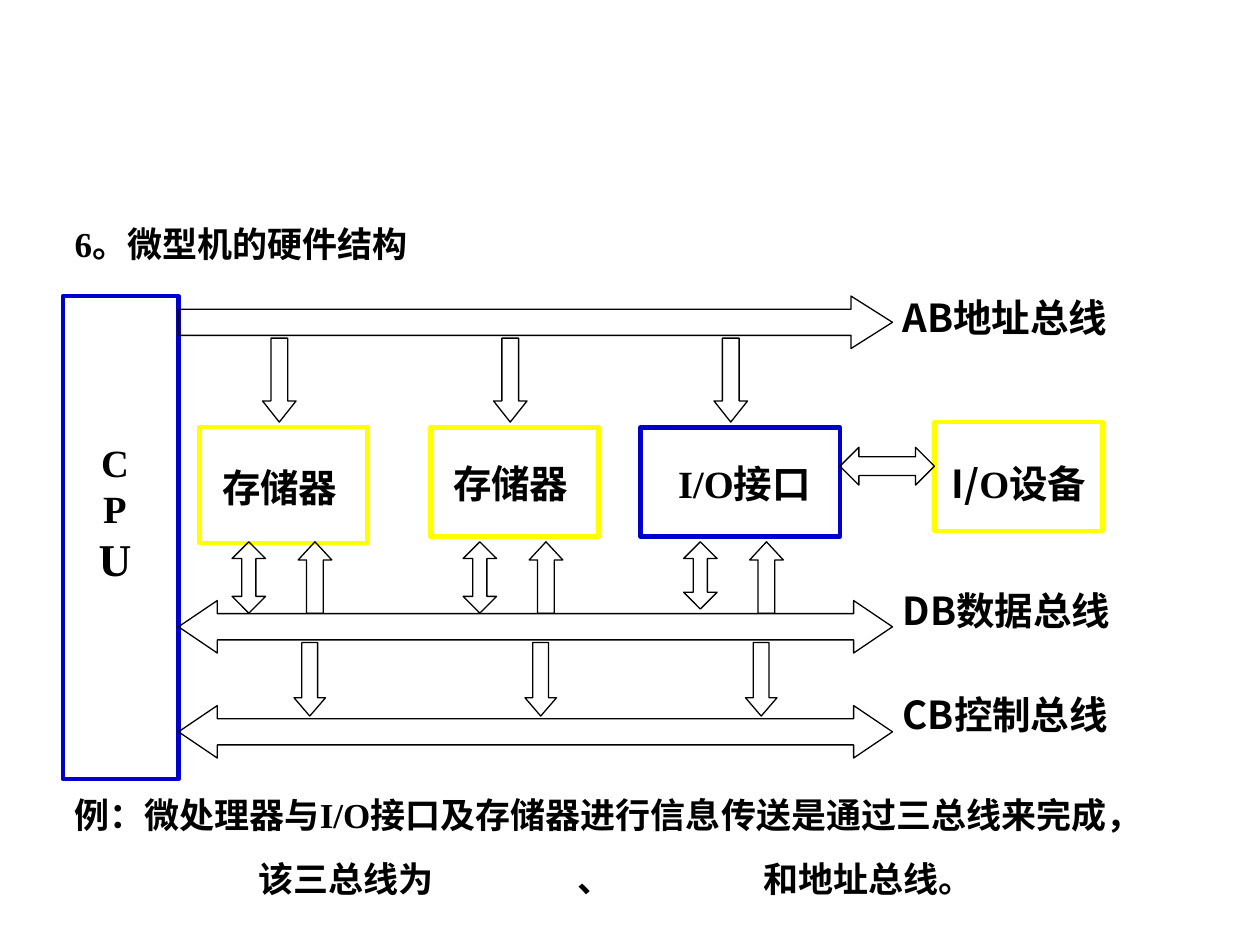
from lxml.etree import SubElement
from pptx import Presentation
from pptx.dml.color import RGBColor
from pptx.enum.shapes import MSO_SHAPE
from pptx.enum.text import MSO_ANCHOR, MSO_AUTO_SIZE, PP_ALIGN
from pptx.oxml.ns import qn
from pptx.util import Inches, Pt

BLACK = RGBColor(0x00, 0x00, 0x00)
BLUE = RGBColor(0x00, 0x00, 0xCC)
YELLOW = RGBColor(0xFF, 0xFF, 0x00)
SANS = "Noto Sans CJK SC"
SERIF = "Times New Roman"
CELLS_PER_INCH = 12
COLUMNS = (25, 47, 68)


def cells(*values):
    """Turn grid cells into lengths."""
    return [Inches(v / CELLS_PER_INCH) for v in values]


def add_run(p, text, size, font=SANS, **extra):
    """Add a bold black run with its Latin and East Asian fonts."""
    r = p.add_run()
    r.text = text
    formats = {"name": font, "size": Pt(size), "bold": True, **extra}
    for name, value in formats.items():
        setattr(r.font, name, value)
    r.font.color.rgb = BLACK
    SubElement(r.font._element, qn("a:ea"), typeface=SANS)


def set_frame(tf, wrap):
    """Set the common text frame format."""
    formats = {"word_wrap": wrap, "auto_size": MSO_AUTO_SIZE.NONE,
               "vertical_anchor": MSO_ANCHOR.TOP, "margin_left": Inches(0.1),
               "margin_right": 0, "margin_top": Inches(0.05),
               "margin_bottom": Inches(0.05)}
    if not wrap:
        formats["margin_right"] = Inches(0.1)
    for name, value in formats.items():
        setattr(tf, name, value)


def add_text(s, at, paragraphs, align=PP_ALIGN.CENTER, wrap=False):
    """Add a text box whose paragraphs are lists of runs."""
    tf = s.shapes.add_textbox(*cells(*at)).text_frame
    set_frame(tf, wrap)
    for i, runs in enumerate(paragraphs):
        p = tf.add_paragraph() if i else tf.paragraphs[0]
        p.alignment = align
        for text, size, font in runs:
            add_run(p, text, size, font)
    return tf


def add_outline(s, kind, at, color=BLACK, width=0.75):
    """Add an unfilled preset shape."""
    sp = s.shapes.add_shape(kind, *cells(*at))
    sp.shadow.inherit = False
    sp.fill.background()
    sp.line.color.rgb = color
    sp.line.width = Pt(width)
    return sp


def add_arrow(s, kind, at, head):
    """Add a block arrow with the given head length ratio."""
    sp = add_outline(s, kind, at)
    sp.adjustments[0] = 0.5
    sp.adjustments[1] = head


def add_title(s):
    """Place the heading in the title placeholder."""
    sp = s.shapes.title
    sp.left, sp.top, sp.width, sp.height = cells(5.9, 20.6, 34.9, 5.3)
    set_frame(sp.text_frame, True)
    p = sp.text_frame.paragraphs[0]
    p.alignment = PP_ALIGN.LEFT
    add_run(p, "6。微型机的硬件结构", 20, SERIF)


def add_blocks(s):
    """Draw the processor, memory and I/O blocks with their names."""
    blocks = [
        ((6, 28.2, 11, 46), BLUE, (7.7, 41.2, 6.5, 15.2),
         [[("C", 22, SERIF)], [("P", 22, SERIF)], [("U", 26, SERIF)]]),
        ((19, 40.7, 16, 11), YELLOW, (20, 43.6, 13.3, 5.6),
         [[("存储器", 22, SANS)]]),
        ((41, 40.7, 16, 10.4), YELLOW, (42, 43.2, 13.3, 5.6),
         [[("存储器", 22, SANS)]]),
        ((61, 40.7, 19, 10.4), BLUE, (63, 43.2, 15.8, 5.6),
         [[("I/O接口", 22, SERIF)]]),
        ((89, 40.2, 16, 10.4), YELLOW, (88.9, 43.2, 16.3, 5.6),
         [[("I/", 22, SANS), ("O", 22, SERIF), ("设备", 22, SANS)]]),
    ]
    for at, color, text_at, paragraphs in blocks:
        add_outline(s, MSO_SHAPE.RECTANGLE, at, color, 2.5)
        add_text(s, text_at, paragraphs)


def add_buses(s):
    """Draw the three buses and their labels."""
    both = MSO_SHAPE.LEFT_RIGHT_ARROW
    buses = [("AB地址总线", MSO_SHAPE.RIGHT_ARROW, 28.2, 0.79, 27.4),
             ("DB数据总线", both, 57.2, 0.74, 55.3),
             ("CB控制总线", both, 67.2, 0.74, 65.2)]
    for label, kind, row, head, label_row in buses:
        add_arrow(s, kind, (17, row, 68, 5), head)
        add_text(s, (84.8, label_row, 23.8, 5.6), [[(label, 22, SANS)]],
                 PP_ALIGN.LEFT, True)


def add_links(s):
    """Draw the arrows between the blocks and the buses."""
    for col in COLUMNS:
        height = 6.4 if col == COLUMNS[-1] else 6.8
        add_arrow(s, MSO_SHAPE.DOWN_ARROW, (col, 32.2, 3.2, 8), 0.63)
        add_arrow(s, MSO_SHAPE.UP_DOWN_ARROW,
                  (col - 2.9, 51.6, 3.2, height), 0.42)
        add_arrow(s, MSO_SHAPE.UP_ARROW, (col + 3.4, 51.6, 3.2, 6.8), 0.54)
        add_arrow(s, MSO_SHAPE.DOWN_ARROW, (col + 3, 61.2, 3, 7), 0.58)
    add_arrow(s, MSO_SHAPE.LEFT_RIGHT_ARROW, (80, 42.6, 9, 3.6), 0.5)


def add_exercise(s):
    """Write the exercise with underlined tabs as blanks."""
    first = "例：微处理器与I/O接口及存储器进行信息传送是通过三总线来完成，"
    tf = add_text(s, (5.9, 75, 105.6, 11.3), [[(first, 20, SERIF)]],
                  PP_ALIGN.LEFT, True)
    p = tf.add_paragraph()
    p.alignment = PP_ALIGN.LEFT
    p.space_before = Pt(12.5)
    tabs = SubElement(p._p.get_or_add_pPr(), qn("a:tabLst"))
    for stop in (1.46, 3.99, 5.47):
        SubElement(tabs, qn("a:tab"), pos=str(Inches(stop)), algn="l")
    for text in ("\t该三总线为", "\t", "、", "\t", "和地址总线。"):
        add_run(p, text, 20, SERIF, underline=text == "\t")


def main():
    """Build and save the slide."""
    prs = Presentation()
    prs.slide_width, prs.slide_height = Inches(10), Inches(7.5)
    s = prs.slides.add_slide(prs.slide_layouts[5])
    add_title(s)
    add_blocks(s)
    add_buses(s)
    add_links(s)
    add_exercise(s)
    prs.save("out.pptx")


if __name__ == "__main__":
    main()
